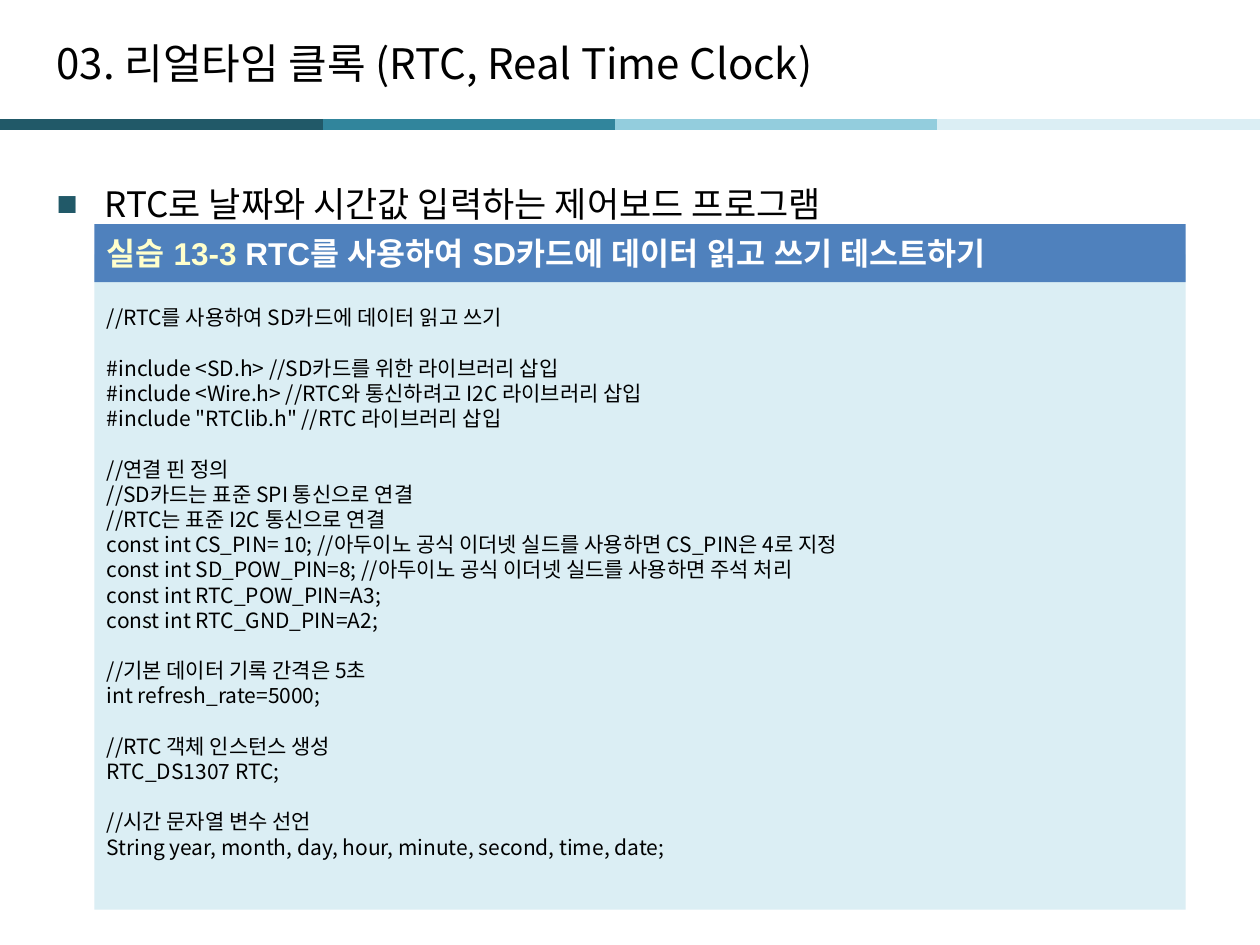
from dataclasses import dataclass

from lxml.etree import SubElement
from pptx import Presentation
from pptx.dml.color import RGBColor
from pptx.enum.shapes import MSO_CONNECTOR, MSO_SHAPE
from pptx.enum.text import MSO_ANCHOR, MSO_AUTO_SIZE, PP_ALIGN
from pptx.oxml.ns import qn
from pptx.util import Inches, Pt

COLORS = {
    "ink": "000000",
    "dark teal": "215968",
    "teal": "31859C",
    "sky": "93CDDD",
    "pale": "DBEEF4",
    "blue": "4F81BD",
    "cream": "FFFFCC",
    "white": "FFFFFF",
}
KOREAN, LATIN = "Noto Sans CJK KR", "Arial"
COLUMNS, ROWS = 100, 75
CELL = Inches(10) // COLUMNS
CODE_SIZE, CODE_GAP = 12, 14.4

CODE_BLOCKS = [
    ["//RTC를 사용하여 SD카드에 데이터 읽고 쓰기"],
    [
        "#include <SD.h> //SD카드를 위한 라이브러리 삽입",
        "#include <Wire.h> //RTC와 통신하려고 I2C 라이브러리 삽입",
        '#include "RTClib.h" //RTC 라이브러리 삽입',
    ],
    [
        "//연결 핀 정의",
        "//SD카드는 표준 SPI 통신으로 연결",
        "//RTC는 표준 I2C 통신으로 연결",
        "const int CS_PIN= 10; //아두이노 공식 이더넷 실드를 사용하면 CS_PIN은 4로 지정",
        "const int SD_POW_PIN=8; //아두이노 공식 이더넷 실드를 사용하면 주석 처리",
        "const int RTC_POW_PIN=A3;",
        "const int RTC_GND_PIN=A2;",
    ],
    ["//기본 데이터 기록 간격은 5초", "int refresh_rate=5000;"],
    ["//RTC 객체 인스턴스 생성", "RTC_DS1307 RTC;"],
    [
        "//시간 문자열 변수 선언",
        "String year, month, day, hour, minute, second, time, date;",
    ],
]


@dataclass(frozen=True)
class Area:
    column: float
    row: float
    columns: float
    rows: float

    def lengths(self) -> list[int]:
        return [round(n * CELL) for n in (self.column, self.row, self.columns, self.rows)]


@dataclass(frozen=True)
class Stripe:
    column: float
    color: str


STRIPE_ROW, STRIPE_COLUMNS = 9.9, 25.6
STRIPES = [
    Stripe(23.2, "teal"),
    Stripe(48.8, "sky"),
    Stripe(74.4, "pale"),
    Stripe(0, "dark teal"),
]
TITLE_AREA = Area(3.5, 2, 94.5, 6)
BODY_AREA = Area(3.5, 12.3, 92.9, 59.1)
CODE_AREA = Area(7.5, 20.2, 86.6, 52)
HEADING_AREA = Area(7.5, 17.8, 86.6, 4.6)


def rgb(color: str) -> RGBColor:
    return RGBColor.from_string(COLORS[color])


def format_run(run, size: float, color: str = "ink", typeface: str = KOREAN, bold: bool = False) -> None:
    run.font.size = Pt(size)
    run.font.bold = bold
    run.font.color.rgb = rgb(color)
    run.font.name = typeface
    SubElement(run.font._element, qn("a:ea"), typeface=typeface)


def draw_stripe(slide, stripe: Stripe) -> None:
    left, top, width, _ = Area(stripe.column, STRIPE_ROW, STRIPE_COLUMNS, 0).lengths()
    line = slide.shapes.add_connector(MSO_CONNECTOR.STRAIGHT, left, top, left + width, top)
    line.line.color.rgb = rgb(stripe.color)
    line.line.width = Pt(6)
    SubElement(line._element.spPr, qn("a:effectLst"))


def draw_panel(slide, area: Area, color: str):
    """Draw a filled rectangle and return its text frame."""
    panel = slide.shapes.add_shape(MSO_SHAPE.RECTANGLE, *area.lengths())
    panel.shadow.inherit = False
    panel.fill.solid()
    panel.fill.fore_color.rgb = rgb(color)
    panel.line.fill.background()
    frame = panel.text_frame
    frame.word_wrap = True
    frame.vertical_anchor = MSO_ANCHOR.MIDDLE
    return frame


def fill_placeholder(placeholder, area: Area, text: str, size: float, anchor: MSO_ANCHOR):
    """Place the placeholder, set its text and return the paragraph."""
    placeholder.left, placeholder.top, placeholder.width, placeholder.height = area.lengths()
    frame = placeholder.text_frame
    frame.text = text
    frame.auto_size = MSO_AUTO_SIZE.NONE
    frame.vertical_anchor = anchor
    paragraph = frame.paragraphs[0]
    paragraph.alignment = PP_ALIGN.LEFT
    paragraph.space_before = Pt(0)
    format_run(paragraph.runs[0], size)
    return paragraph


def add_square_bullet(paragraph, color: str) -> None:
    properties = paragraph._p.get_or_add_pPr()
    properties.set("marL", str(Inches(0.38)))
    properties.set("indent", str(-Inches(0.38)))
    bullet_color = SubElement(properties, qn("a:buClr"))
    SubElement(bullet_color, qn("a:srgbClr"), val=COLORS[color])
    SubElement(properties, qn("a:buFont"), typeface=LATIN)
    SubElement(properties, qn("a:buChar"), char="■")


def write_code(frame) -> None:
    for block_number, block in enumerate(CODE_BLOCKS):
        for line_number, code in enumerate(block):
            first = block_number == line_number == 0
            paragraph = frame.paragraphs[0] if first else frame.add_paragraph()
            paragraph.text = code
            paragraph.alignment = PP_ALIGN.LEFT
            if line_number == 0 and not first:
                paragraph.space_before = Pt(CODE_GAP)
            format_run(paragraph.runs[0], CODE_SIZE)


def write_heading(frame) -> None:
    paragraph = frame.paragraphs[0]
    paragraph.alignment = PP_ALIGN.LEFT
    for text, color in (
        ("실습 13-3 ", "cream"),
        ("RTC를 사용하여 SD카드에 데이터 읽고 쓰기 테스트하기", "white"),
    ):
        run = paragraph.add_run()
        run.text = text
        format_run(run, 18, color, LATIN, bold=True)


def main() -> None:
    presentation = Presentation()
    presentation.slide_width = COLUMNS * CELL
    presentation.slide_height = ROWS * CELL
    slide = presentation.slides.add_slide(presentation.slide_layouts[1])

    for stripe in STRIPES:
        draw_stripe(slide, stripe)
    fill_placeholder(slide.shapes.title, TITLE_AREA,
                     "03. 리얼타임 클록 (RTC, Real Time Clock)", 24, MSO_ANCHOR.MIDDLE)
    topic = fill_placeholder(slide.placeholders[1], BODY_AREA,
                             "RTC로 날짜와 시간값 입력하는 제어보드 프로그램", 20, MSO_ANCHOR.TOP)
    topic.line_spacing = 1.5
    add_square_bullet(topic, "dark teal")
    write_code(draw_panel(slide, CODE_AREA, "pale"))
    write_heading(draw_panel(slide, HEADING_AREA, "blue"))

    presentation.save("out.pptx")


if __name__ == "__main__":
    main()
